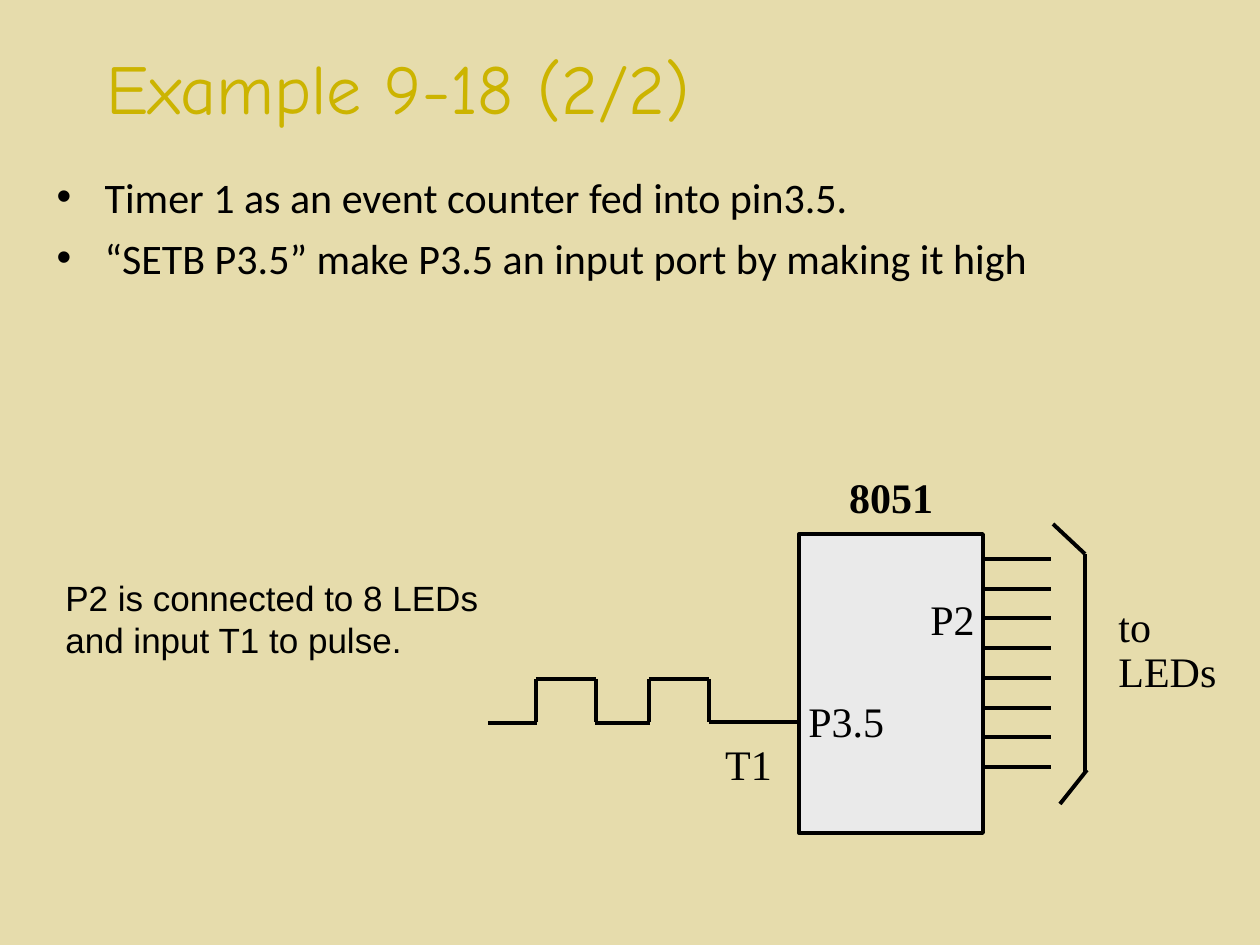
from lxml.etree import SubElement
from pptx import Presentation
from pptx.dml.color import RGBColor
from pptx.enum.shapes import MSO_CONNECTOR, MSO_SHAPE
from pptx.enum.text import MSO_ANCHOR, PP_ALIGN
from pptx.oxml.ns import qn
from pptx.util import Pt

PX = 914400 / 126
COLORS = {"background": "E6DCAC", "title": "CCB400", "ink": "000000", "chip": "EAEAEA"}


def px(*lengths):
    """Turn pixel lengths into whole EMU."""
    return [round(length * PX) for length in lengths]


def write(shape, lines, color="ink", align=PP_ALIGN.LEFT, spacing=None, gap=0, **font):
    """Fill a shape with one paragraph per line, all in one format."""
    frame = shape.text_frame
    frame.word_wrap = True
    frame.vertical_anchor = MSO_ANCHOR.MIDDLE
    for index, line in enumerate(lines):
        para = frame.add_paragraph() if index else frame.paragraphs[0]
        para.alignment = align
        para.space_before = Pt(gap if index else 0)
        if spacing:
            para.line_spacing = spacing
        span = para.add_run()
        span.text = line
        span.font.color.rgb = RGBColor.from_string(COLORS[color])
        for name, value in font.items():
            setattr(span.font, name, value)


deck = Presentation()
deck.slide_width, deck.slide_height = px(1260, 945)
page = deck.slides.add_slide(deck.slide_layouts[1])
page.background.fill.solid()
page.background.fill.fore_color.rgb = RGBColor.from_string(COLORS["background"])

# Title and bullet list
title, body = page.shapes.title, page.placeholders[1]
for holder, place in ((title, (94, 38, 1071, 97)), (body, (44, 165, 1191, 640))):
    holder.left, holder.top, holder.width, holder.height = px(*place)
write(title, ["Example 9-18 (2/2)"], "title", name="Comic Neue", size=Pt(40))
write(body, ["Timer 1 as an event counter fed into pin3.5.",
             "“SETB P3.5” make P3.5 an input port by making it high"],
      gap=6, name="Calibri", size=Pt(24))
body.text_frame.vertical_anchor = MSO_ANCHOR.TOP
hang, = px(48)
for para in body.text_frame.paragraphs:
    properties = para._p.get_or_add_pPr()
    properties.set("marL", str(hang))
    properties.set("indent", str(-hang))
    SubElement(properties, qn("a:buChar")).set("char", "•")

note = page.shapes.add_textbox(*px(53, 570, 481, 97))
write(note, ["P2 is connected to 8 LEDs and input T1 to pulse."], name="Arial", size=Pt(20))

# Chip
circuit = page.shapes.add_group_shape().shapes
chip = circuit.add_shape(MSO_SHAPE.RECTANGLE, *px(799, 534, 184, 299))
chip.shadow.inherit = False
chip.fill.solid()
chip.fill.fore_color.rgb = RGBColor.from_string(COLORS["chip"])
chip.line.color.rgb = RGBColor.from_string(COLORS["ink"])
chip.line.width = Pt(2.25)

# Pulse train into T1, eight pins of P2, and the bracket beside them
high, low = 679, 722
wires = []
for start, rise, fall in ((488, 536, 596), (595, 649, 709)):
    wires += [(start, low + 1, rise + 1, low + 1), (rise, low, rise, high),
              (rise, high, fall, high), (fall, high, fall, low)]
wires.append((709, low, 799, low))
for pin in range(8):
    level = 559 + round(pin * 208 / 7)
    wires.append((983, level, 1051, level))
wires += [(1085, 554, 1085, 772), (1085, 554, 1053, 524), (1060, 804, 1087, 770)]

for ends in wires:
    wire = circuit.add_connector(MSO_CONNECTOR.STRAIGHT, *px(*ends))
    wire.line.color.rgb = RGBColor.from_string(COLORS["ink"])
    wire.line.width = Pt(2.25)
    SubElement(wire._element.spPr, qn("a:effectLst"))

# Labels: lines, place, format
labels = [
    (["T1"], (709, 732, 79, 63), {"align": PP_ALIGN.CENTER}),
    (["to", "LEDs"], (1106, 600, 144, 103), {"spacing": 0.9}),
    (["P3.5"], (796, 689, 121, 63), {}),
    (["P2"], (916, 587, 73, 63), {"align": PP_ALIGN.CENTER}),
    (["8051"], (818, 465, 146, 63), {"align": PP_ALIGN.CENTER, "bold": True}),
]
for lines, place, look in labels:
    label = circuit.add_textbox(*px(*place))
    write(label, lines, name="Times New Roman", size=Pt(24), **look)

deck.save("out.pptx")
